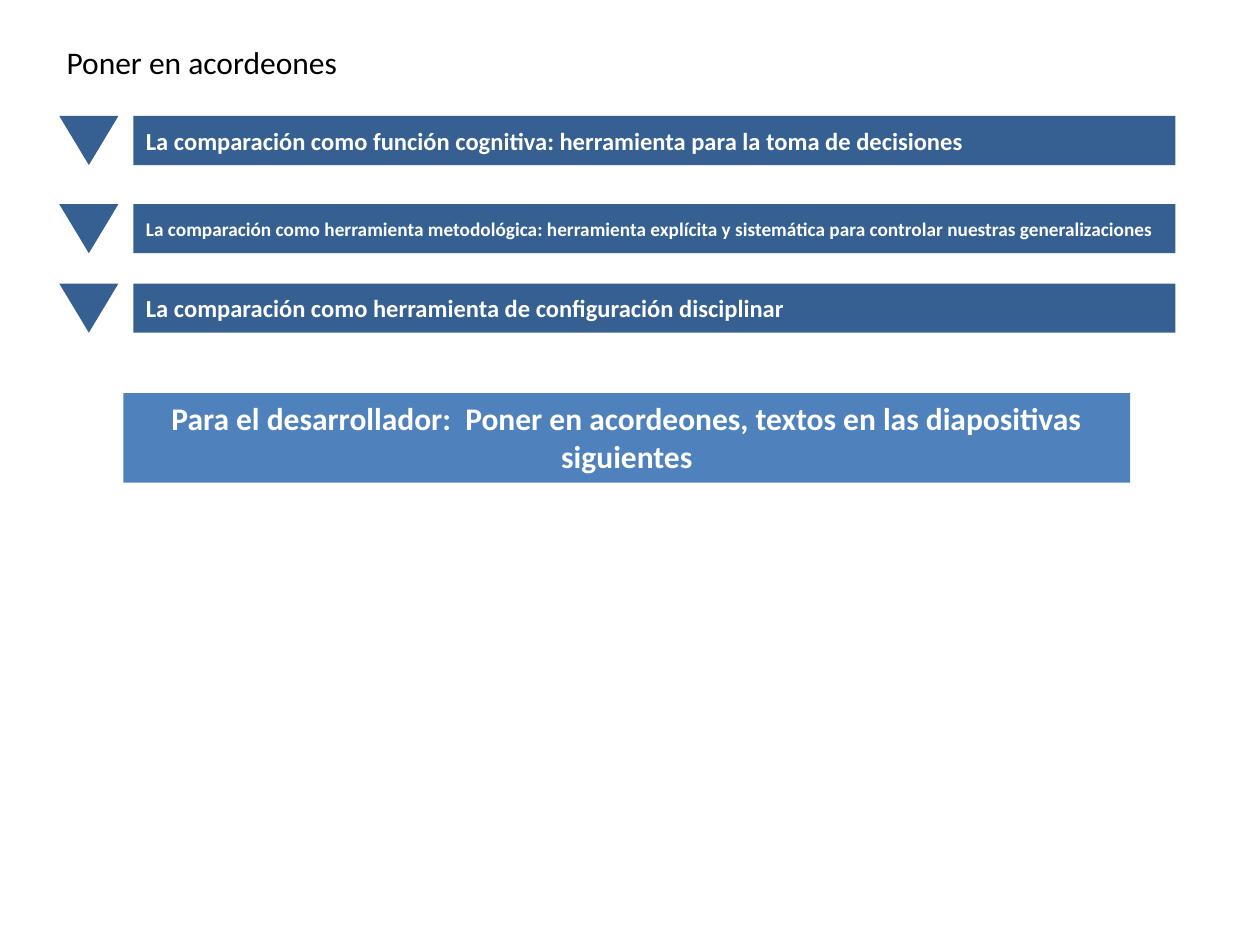
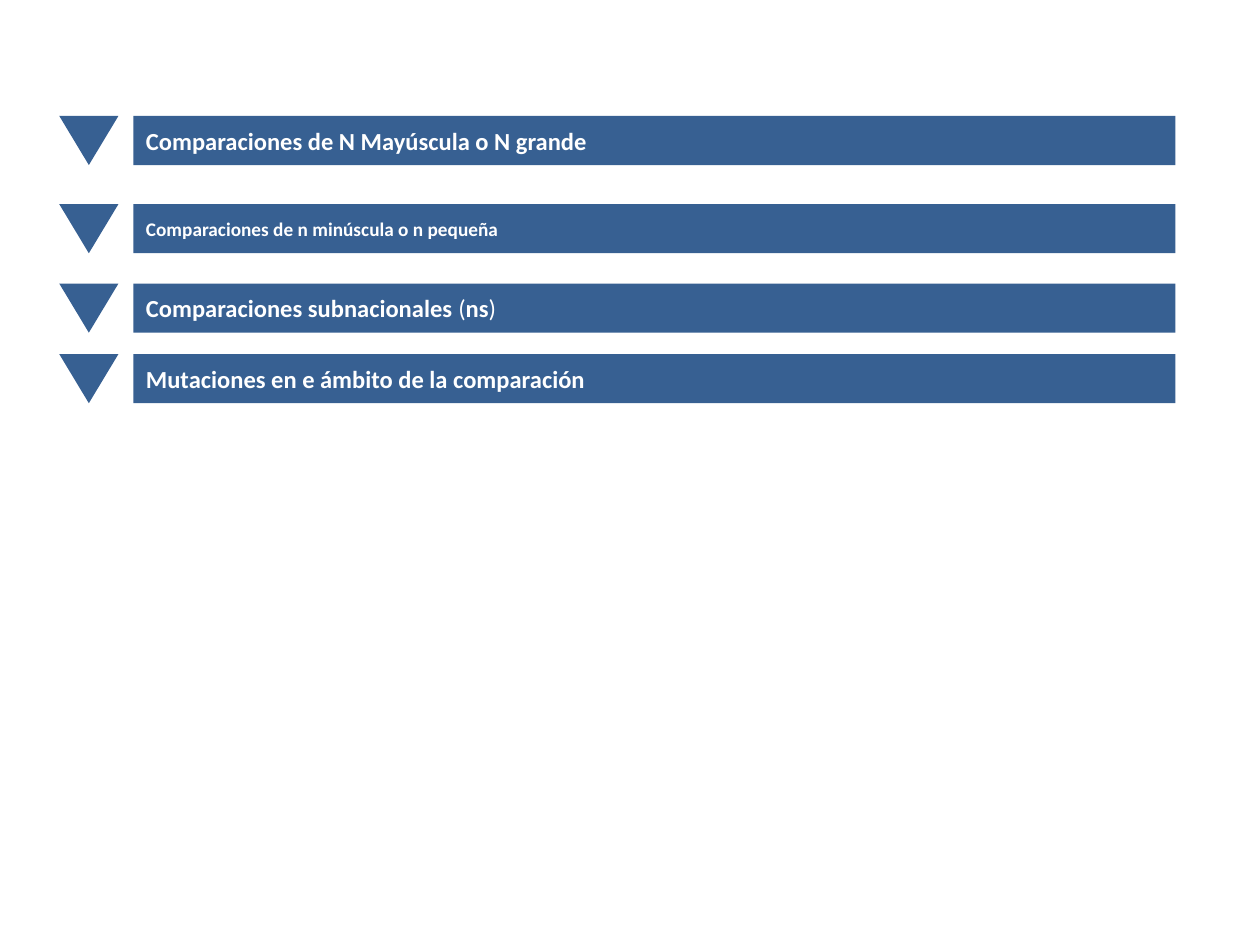
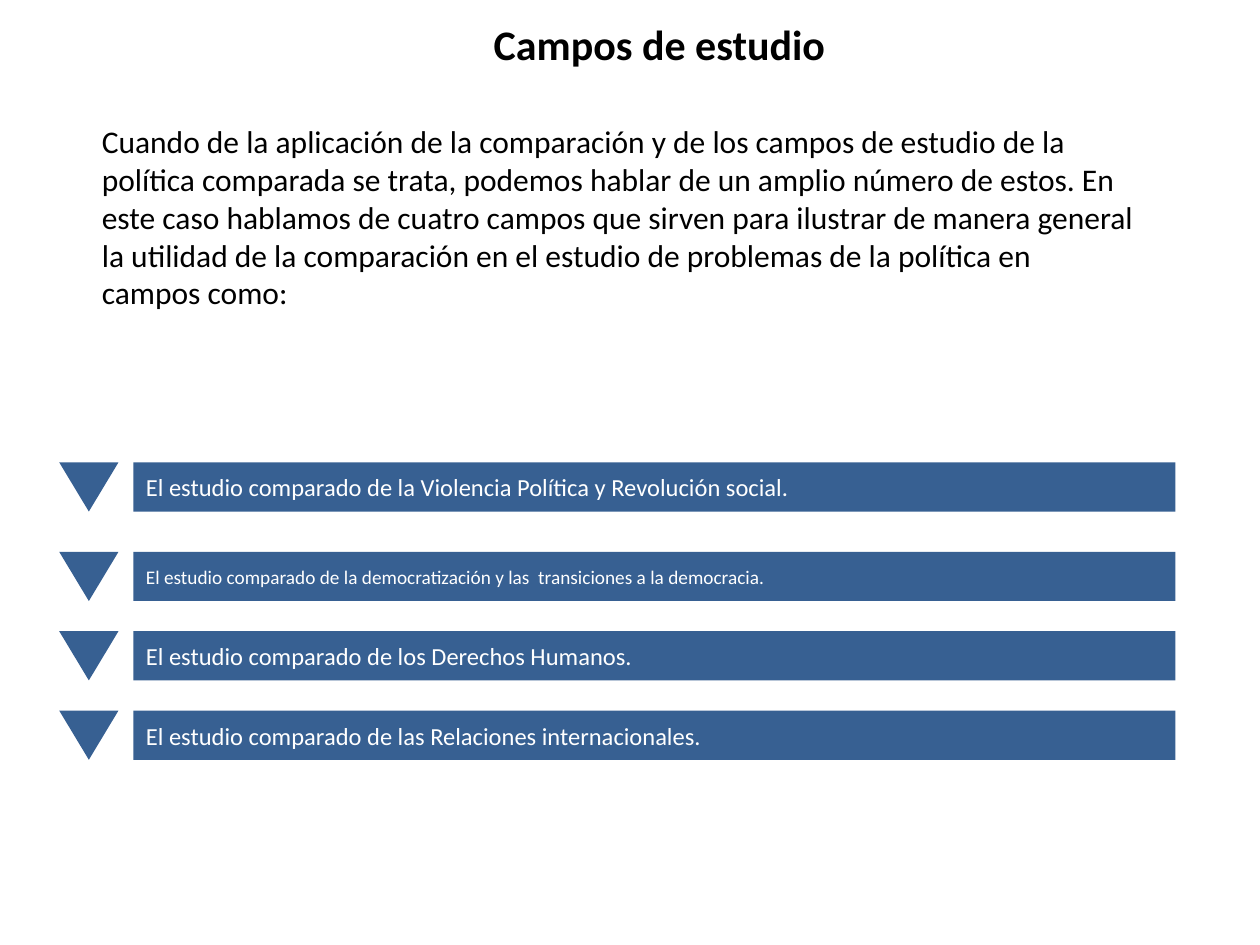
from dataclasses import dataclass
from itertools import accumulate

from pptx import Presentation
from pptx.dml.color import RGBColor
from pptx.enum import shapes, text
from pptx.util import Inches, Pt


@dataclass(frozen=True)
class Theme:
    font: str = "Calibri"
    bar: str = "376092"
    notice: str = "4F81BD"
    ink: str = "000000"
    white: str = "FFFFFF"
    heading: int = 24
    body: int = 18
    label: int = 14
    small_label: int = 11


THEME = Theme()

ACCORDIONS = [
    {
        "top": 0.92,
        "steps": [0.7, 0.63],
        "bold": True,
        "labels": [
            "La comparación como función cognitiva: herramienta para la toma de decisiones",
            "La comparación como herramienta metodológica: herramienta explícita y "
            "sistemática para controlar nuestras generalizaciones",
            "La comparación como herramienta de configuración disciplinar",
        ],
        "texts": [
            ("Poner en acordeones", (0.43, 0.29, 2.38, 0.4), {"wrap": False}),
        ],
        "notice": "Para el desarrollador:  Poner en acordeones, textos en las "
                  "diapositivas siguientes",
    },
    {
        "top": 0.92,
        "steps": [0.7, 0.63, 0.56],
        "bold": True,
        "labels": [
            "Comparaciones de N Mayúscula o N grande",
            "Comparaciones de n minúscula o n pequeña",
            [("Comparaciones subnacionales ", True), ("(", False), ("ns", True), (")", False)],
            "Mutaciones en e ámbito de la comparación",
        ],
    },
    {
        "top": 3.67,
        "steps": [0.71, 0.63, 0.63],
        "bold": False,
        "labels": [
            "El estudio comparado de la Violencia Política y Revolución social.",
            "El estudio comparado de la democratización y las  transiciones a la democracia.",
            "El estudio comparado de los Derechos Humanos.",
            "El estudio comparado de las Relaciones internacionales.",
        ],
        "texts": [
            ("Campos de estudio", (3.82, 0.1, 2.86, 0.5),
             {"size": THEME.heading, "bold": True, "wrap": False}),
            ("Cuando de la aplicación de la comparación y de los campos de estudio de la "
             "política comparada se trata, podemos hablar de un amplio número de estos. "
             "En este caso hablamos de cuatro campos que sirven para ilustrar de manera "
             "general la utilidad de la comparación en el estudio de problemas de la "
             "política en campos como:", (0.71, 0.92, 8.39, 1.92), {}),
        ],
    },
]

ROW_HEIGHT = 0.39
ARROW_LEFT, ARROW_WIDTH = 0.47, 0.47
BAR_LEFT, BAR_WIDTH = 1.06, 8.27
NOTICE_AREA = (0.98, 3.12, 7.99, 0.71)


def write(box, content, size=THEME.body, color=THEME.ink, bold=False, wrap=True,
          align=text.PP_ALIGN.LEFT, anchor=text.MSO_ANCHOR.TOP):
    frame = box.text_frame
    frame.word_wrap = wrap
    frame.vertical_anchor = anchor
    para = frame.paragraphs[0]
    para.alignment = align
    parts = [(content, bold)] if isinstance(content, str) else content
    for words, heavy in parts:
        span = para.add_run()
        span.text = words
        span.font.name = THEME.font
        span.font.size = Pt(size)
        span.font.bold = heavy
        span.font.color.rgb = RGBColor.from_string(color)


def add_filled(page, kind, area, color):
    box = page.shapes.add_shape(kind, *map(Inches, area))
    box.shadow.inherit = False
    box.fill.solid()
    box.fill.fore_color.rgb = RGBColor.from_string(color)
    box.line.fill.background()
    return box


def add_row(page, top, label, size, bold):
    arrow = add_filled(page, shapes.MSO_SHAPE.ISOSCELES_TRIANGLE,
                       (ARROW_LEFT, top, ARROW_WIDTH, ROW_HEIGHT), THEME.bar)
    arrow.rotation = 180
    bar = add_filled(page, shapes.MSO_SHAPE.RECTANGLE,
                     (BAR_LEFT, top, BAR_WIDTH, ROW_HEIGHT), THEME.bar)
    write(bar, label, size=size, color=THEME.white, bold=bold,
          anchor=text.MSO_ANCHOR.MIDDLE)


def add_page(deck, accordion):
    page = deck.slides.add_slide(deck.slide_layouts[6])
    for content, area, style in accordion.get("texts", []):
        write(page.shapes.add_textbox(*map(Inches, area)), content, **style)
    tops = accumulate(accordion["steps"], initial=accordion["top"])
    for index, (top, label) in enumerate(zip(tops, accordion["labels"])):
        size = THEME.small_label if index == 1 else THEME.label
        add_row(page, top, label, size, accordion["bold"])
    if "notice" in accordion:
        box = add_filled(page, shapes.MSO_SHAPE.RECTANGLE, NOTICE_AREA, THEME.notice)
        write(box, accordion["notice"], color=THEME.white, bold=True,
              align=text.PP_ALIGN.CENTER)


def main():
    deck = Presentation()
    deck.slide_width, deck.slide_height = Inches(10), Inches(7.5)
    for accordion in ACCORDIONS:
        add_page(deck, accordion)
    deck.save("out.pptx")


if __name__ == "__main__":
    main()
